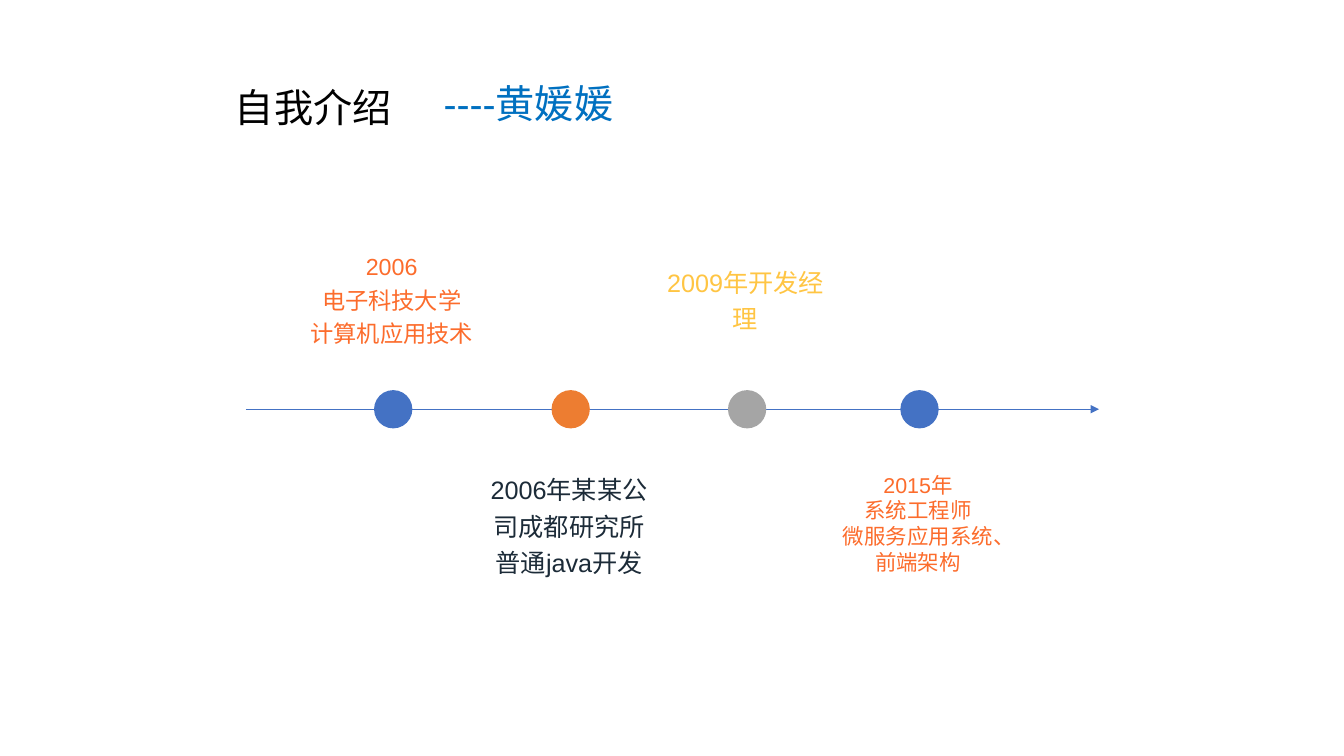
from lxml import etree
from pptx import Presentation
from pptx import util as u
from pptx.dml.color import RGBColor
from pptx.enum import shapes, text
from pptx.oxml import ns

PX = 9144  # 100 px to the inch
FONT = "Arial"

BLACK = RGBColor(0x00, 0x00, 0x00)
NAVY = RGBColor(0x1C, 0x2B, 0x38)
SKY = RGBColor(0x00, 0x70, 0xC0)
BLUE = RGBColor(0x44, 0x72, 0xC4)
ORANGE = RGBColor(0xED, 0x7D, 0x31)
GRAY = RGBColor(0xA5, 0xA5, 0xA5)
CORAL = RGBColor(0xFC, 0x6C, 0x2C)
GOLD = RGBColor(0xFF, 0xC5, 0x43)

AXIS = 406
DOT = 38
WIDE, HIGH = 187, 116
ABOVE, BELOW = 237, 461

# Dot left, dot colour, label top, label colour, size, line spacing, lines
STEPS = [
    (371, BLUE, ABOVE, CORAL, 16.6, 1.2,
     ["2006", "电子科技大学", "计算机应用技术"]),
    (547, ORANGE, BELOW, NAVY, 18, 1.2,
     ["2006年某某公司成都研究所", "普通java开发"]),
    (722, GRAY, ABOVE, GOLD, 18, 1.2, ["2009年开发经理"]),
    (893, BLUE, BELOW, CORAL, 15.3, 1.0,
     ["2015年", "系统工程师", "微服务应用系统、前端架构"]),
]


def px(*vals):
    return [u.Emu(val * PX) for val in vals]


def add_text(slide, box, lines, size, color, gap, align, inset=(10, 5)):
    frame = slide.shapes.add_textbox(*px(*box)).text_frame
    frame.word_wrap = True
    frame.vertical_anchor = text.MSO_ANCHOR.MIDDLE
    side, edge = px(*inset)
    frame.margin_left = frame.margin_right = side
    frame.margin_top = frame.margin_bottom = edge
    frame.text = "\n".join(lines)
    for para in frame.paragraphs:
        para.alignment = align
        para.line_spacing = gap
        for run in para.runs:
            run.font.name = FONT
            run.font.size = u.Pt(size)
            run.font.color.rgb = color


def add_title(slide, box, words, color):
    add_text(slide, box, [words], 28, color, 0.9,
             text.PP_ALIGN.LEFT, inset=(6, 3))


def add_axis(slide, left, right):
    axis = slide.shapes.add_connector(
        shapes.MSO_CONNECTOR.STRAIGHT, *px(left, AXIS, right, AXIS))
    axis.line.color.rgb = BLUE
    axis.line.width = u.Pt(0.5)
    # Arrowhead, and no shadow
    etree.SubElement(axis.line._get_or_add_ln(), ns.qn("a:tailEnd"),
                     type="triangle")
    etree.SubElement(axis._element.spPr, ns.qn("a:effectLst"))


def add_dot(slide, left, color):
    dot = slide.shapes.add_shape(
        shapes.MSO_SHAPE.OVAL, *px(left, AXIS - DOT // 2, DOT, DOT))
    dot.shadow.inherit = False
    dot.fill.solid()
    dot.fill.fore_color.rgb = color
    dot.line.fill.background()


def add_step(slide, left, fill, top, color, size, gap, lines):
    add_dot(slide, left, fill)
    start = left + (DOT - WIDE) // 2 - 1
    add_text(slide, (start, top, WIDE, HIGH), lines, size, color, gap,
             text.PP_ALIGN.CENTER)


def main():
    deck = Presentation()
    deck.slide_width, deck.slide_height = px(1333, 750)
    slide = deck.slides.add_slide(deck.slide_layouts[6])

    # Timeline
    add_axis(slide, 244, 1090)
    for step in STEPS:
        add_step(slide, *step)

    # Heading
    add_title(slide, (227, 65, 181, 87), "自我介绍", BLACK)
    add_title(slide, (434, 61, 233, 87), "----黄媛媛", SKY)

    deck.save("out.pptx")


if __name__ == "__main__":
    main()
